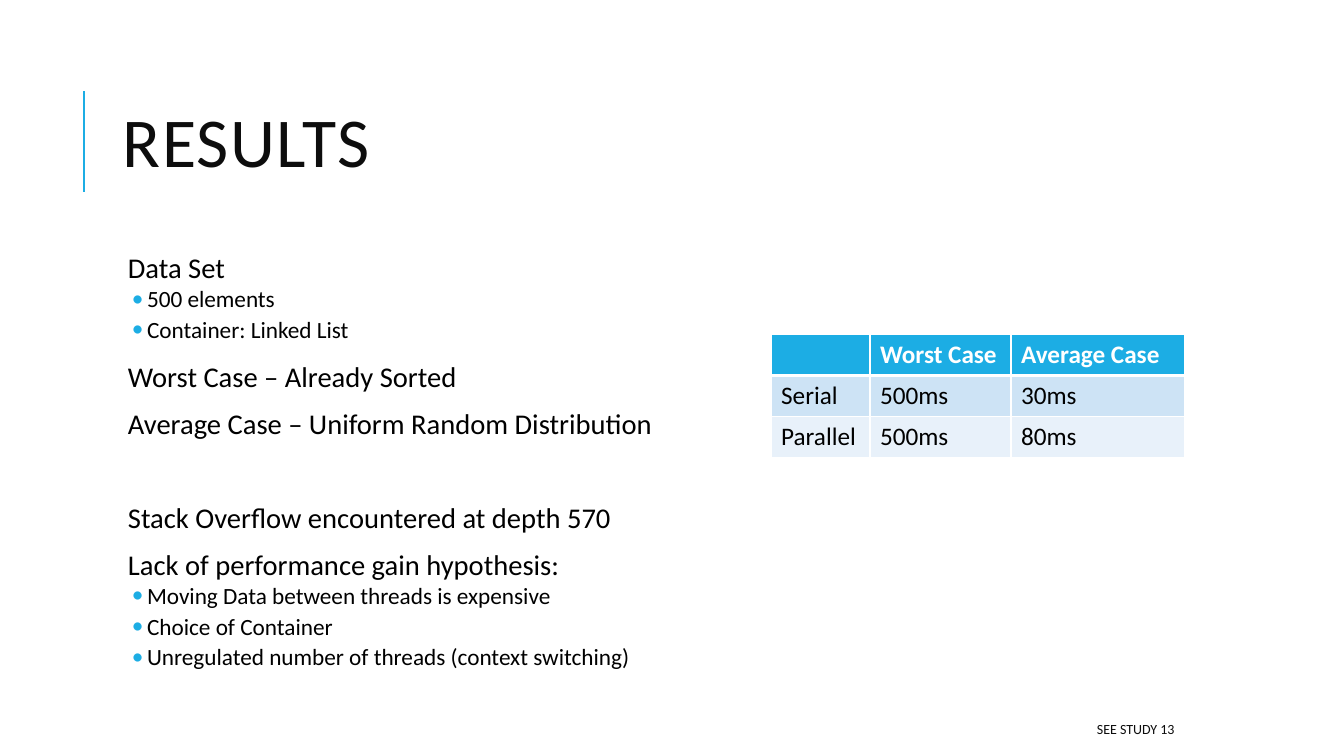
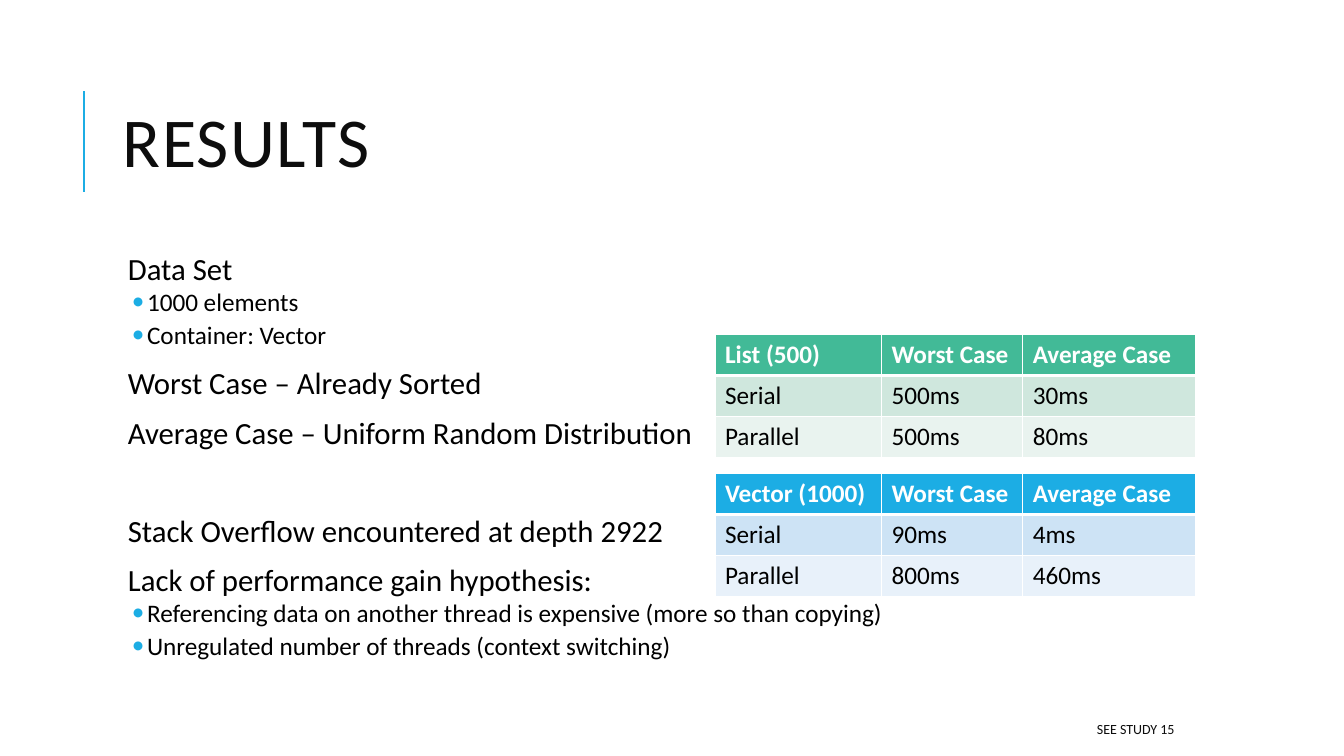
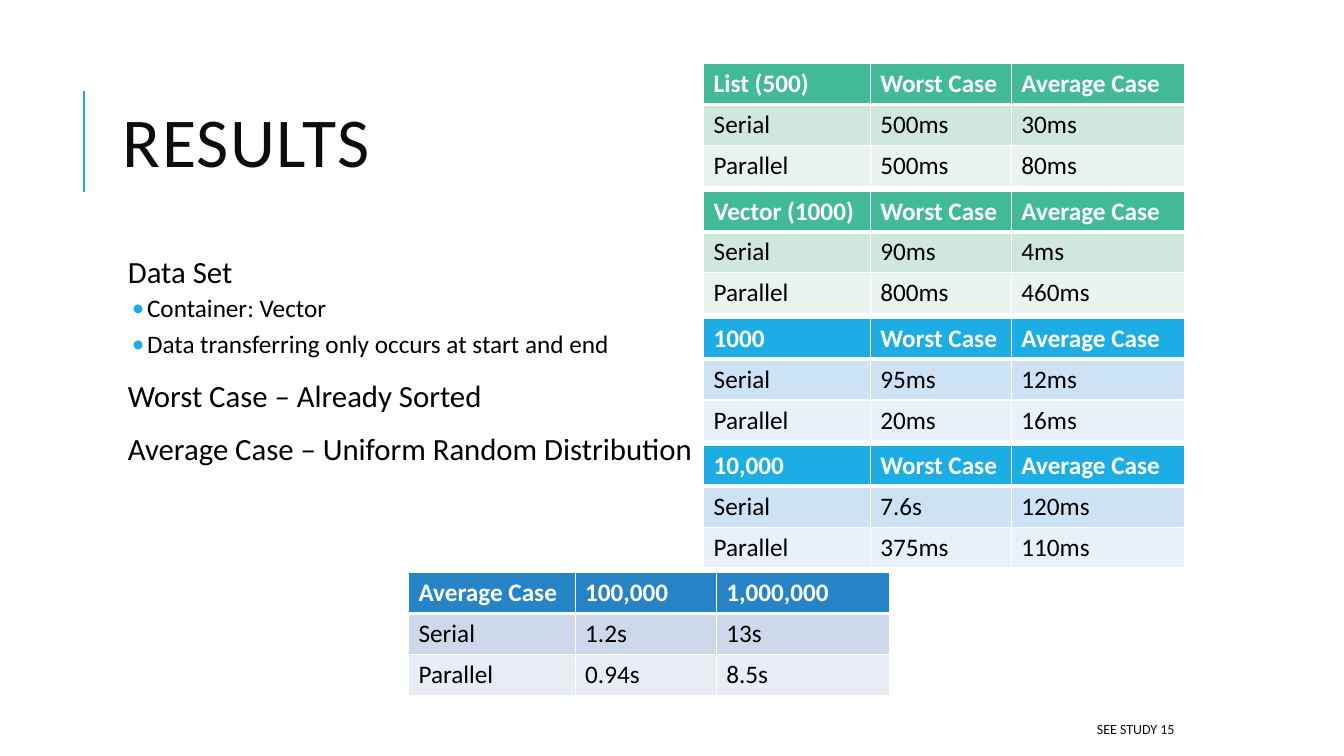
from collections import namedtuple

from lxml.etree import SubElement
from pptx import Presentation
from pptx.dml.color import RGBColor
from pptx.enum.shapes import MSO_CONNECTOR as CONNECTOR
from pptx.enum.text import MSO_ANCHOR as ANCHOR, PP_ALIGN as ALIGN
from pptx.oxml.ns import qn
from pptx.util import Pt

Box = namedtuple("Box", "left top width height")
Theme = namedtuple("Theme", "head odd even")

FONT = "Calibri"
BLACK = RGBColor(0x00, 0x00, 0x00)
INK = RGBColor(0x0D, 0x0D, 0x0D)
WHITE = RGBColor(0xFF, 0xFF, 0xFF)
CYAN = RGBColor(0x1C, 0xAD, 0xE4)
CYAN_THEME = Theme(CYAN, RGBColor(0xCD, 0xE3, 0xF5), RGBColor(0xE8, 0xF1, 0xFA))
GREEN_THEME = Theme(RGBColor(0x42, 0xBA, 0x97), RGBColor(0xCF, 0xE7, 0xDD), RGBColor(0xE9, 0xF3, 0xEF))
BLUE_THEME = Theme(RGBColor(0x26, 0x83, 0xC6), RGBColor(0xCD, 0xD9, 0xEA), RGBColor(0xE8, 0xED, 0xF5))

TITLE_BOX = Box(80.6, 46.1, 765.4, 118)
BODY_BOX = Box(80.6, 180, 765.4, 316.8)
FOOTER_BOX = Box(381.6, 509.8, 464.4, 21.6)
ROW_HEIGHT = 29.2
COLUMNS = (119, 100.8, 123.8)
NARROW_COLUMNS = (70.6, 100.8, 123.8)

CASES = ("Worst Case", "Average Case")
WORST = "Worst Case – Already Sorted"
AVERAGE = "Average Case – Uniform Random Distribution"
HYPOTHESIS = "Lack of performance gain hypothesis:"
SWITCHING = "Unregulated number of threads (context switching)"
LIST_TIMES = (("500ms", "30ms"), ("500ms", "80ms"))
VECTOR_TIMES = (("90ms", "4ms"), ("800ms", "460ms"))


def style(p, size, color, bold=False):
    for r in p.runs:
        r.font.name = FONT
        r.font.size = Pt(size)
        r.font.bold = bold
        r.font.color.rgb = color


def add_text(s, box, anchor):
    tf = s.shapes.add_textbox(*map(Pt, box)).text_frame
    tf.word_wrap = True
    tf.vertical_anchor = anchor
    return tf


def add_title(s, box, text):
    x = Pt(box.left - 20.6)
    rule = s.shapes.add_connector(CONNECTOR.STRAIGHT, x, Pt(box.top + 90.7), x, Pt(box.top + 18.7))
    rule.line.color.rgb = CYAN
    rule.line.width = Pt(1.5)
    SubElement(rule._element.spPr, qn("a:effectLst"))
    p = add_text(s, box, ANCHOR.MIDDLE).paragraphs[0]
    p.text = text
    p.line_spacing = 0.8
    style(p, 50, INK)
    p.runs[0].font._element.set("spc", "100")


def add_footer(s, box, text):
    p = add_text(s, box, ANCHOR.MIDDLE).paragraphs[0]
    p.text = text
    p.alignment = ALIGN.RIGHT
    style(p, 10, INK)


def set_indent(p, margin, hanging, bullet=None):
    pPr = p._p.get_or_add_pPr()
    pPr.set("marL", str(Pt(margin)))
    pPr.set("indent", str(-Pt(hanging)))
    if bullet:
        clr = SubElement(pPr, qn("a:buClr"))
        SubElement(clr, qn("a:srgbClr")).set("val", str(CYAN))
        SubElement(pPr, qn("a:buFont")).set("typeface", FONT)
        SubElement(pPr, qn("a:buChar")).set("char", bullet)


def add_body(s, box, groups, sizes, spacing, gap=0):
    tf = add_text(s, box, ANCHOR.TOP)
    tf.margin_left = tf.margin_right = tf.margin_top = tf.margin_bottom = Pt(3.6)
    lines = [(text, i > 0, heading.startswith("Stack"))
             for heading, *points in groups
             for i, text in enumerate((heading, *points))]
    for i, (text, is_point, is_apart) in enumerate(lines):
        p = tf.add_paragraph() if i else tf.paragraphs[0]
        p.text = text
        p.line_spacing = spacing
        p.space_before = Pt(2 if is_point else 12 + gap * is_apart)
        p.space_after = Pt(4 if is_point else 2)
        if is_point:
            set_indent(p, 20.9, 10.8, "•")
        else:
            set_indent(p, 7.2, 0)
        style(p, sizes[is_point], BLACK)


def set_borders(cell, top, bottom):
    tcPr = cell._tc.get_or_add_tcPr()
    for side, width in (("L", 1), ("R", 1), ("T", top), ("B", bottom)):
        ln = SubElement(tcPr, qn(f"a:ln{side}"), w=str(Pt(width)))
        fill = SubElement(ln, qn("a:solidFill"))
        SubElement(fill, qn("a:srgbClr")).set("val", str(WHITE))


def add_timings(s, left, top, corner, times, theme, heads=CASES, columns=COLUMNS):
    rows = ((corner, *heads), ("Serial", *times[0]), ("Parallel", *times[1]))
    box = Box(left, top, sum(columns), ROW_HEIGHT * len(rows))
    table = s.shapes.add_table(len(rows), len(columns), *map(Pt, box)).table
    table.horz_banding = False
    for column, width in zip(table.columns, columns):
        column.width = Pt(width)
    for i, row in enumerate(rows):
        table.rows[i].height = Pt(ROW_HEIGHT)
        for j, text in enumerate(row):
            cell = table.cell(i, j)
            set_borders(cell, 3 if i == 1 else 1, 3 if i == 0 else 1)
            cell.fill.solid()
            cell.fill.fore_color.rgb = theme[i]
            p = cell.text_frame.paragraphs[0]
            if text:
                p.text = text
            style(p, 18, BLACK if i else WHITE, bold=i == 0)


def add_results(prs, footer):
    s = prs.slides.add_slide(prs.slide_layouts[6])
    add_title(s, TITLE_BOX, "RESULTS")
    add_footer(s, FOOTER_BOX, footer)
    return s


def linked_list_slide(prs):
    s = add_results(prs, "SEE STUDY 13")
    add_body(s, BODY_BOX, (
        ("Data Set", "500 elements", "Container: Linked List"),
        (WORST,),
        (AVERAGE,),
        ("Stack Overflow encountered at depth 570",),
        (HYPOTHESIS, "Moving Data between threads is expensive", "Choice of Container", SWITCHING),
    ), (20.4, 16.6), 0.8, gap=33.6)
    add_timings(s, 550.8, 239, "", LIST_TIMES, CYAN_THEME, columns=NARROW_COLUMNS)


def vector_slide(prs):
    s = add_results(prs, "SEE STUDY 15")
    add_body(s, BODY_BOX, (
        ("Data Set", "1000 elements", "Container: Vector"),
        (WORST,),
        (AVERAGE,),
        ("Stack Overflow encountered at depth 2922",),
        (HYPOTHESIS, "Referencing data on another thread is expensive (more so than copying)", SWITCHING),
    ), (22, 18), 0.8, gap=35)
    add_timings(s, 510.7, 239, "List (500)", LIST_TIMES, GREEN_THEME)
    add_timings(s, 510.7, 338.4, "Vector (1000)", VECTOR_TIMES, CYAN_THEME)


def comparison_slide(prs):
    s = add_results(prs, "SEE STUDY 15")
    add_body(s, BODY_BOX, (
        ("Data Set", "Container: Vector", "Data transferring only occurs at start and end"),
        (WORST,),
        (AVERAGE,),
    ), (22, 18), 0.9)
    top, pitch = 45.5, 90.9
    stack = (
        ("List (500)", LIST_TIMES, GREEN_THEME),
        ("Vector (1000)", VECTOR_TIMES, GREEN_THEME),
        ("1000", (("95ms", "12ms"), ("20ms", "16ms")), CYAN_THEME),
        ("10,000", (("7.6s", "120ms"), ("375ms", "110ms")), CYAN_THEME),
    )
    for i, (corner, times, theme) in enumerate(stack):
        add_timings(s, 502.6, top + i * pitch, corner, times, theme)
    add_timings(s, 291.8, top + len(stack) * pitch, "Average Case",
                (("1.2s", "13s"), ("0.94s", "8.5s")), BLUE_THEME, heads=("100,000", "1,000,000"))


prs = Presentation()
prs.slide_width, prs.slide_height = Pt(960), Pt(540)
linked_list_slide(prs)
vector_slide(prs)
comparison_slide(prs)
prs.save("out.pptx")
